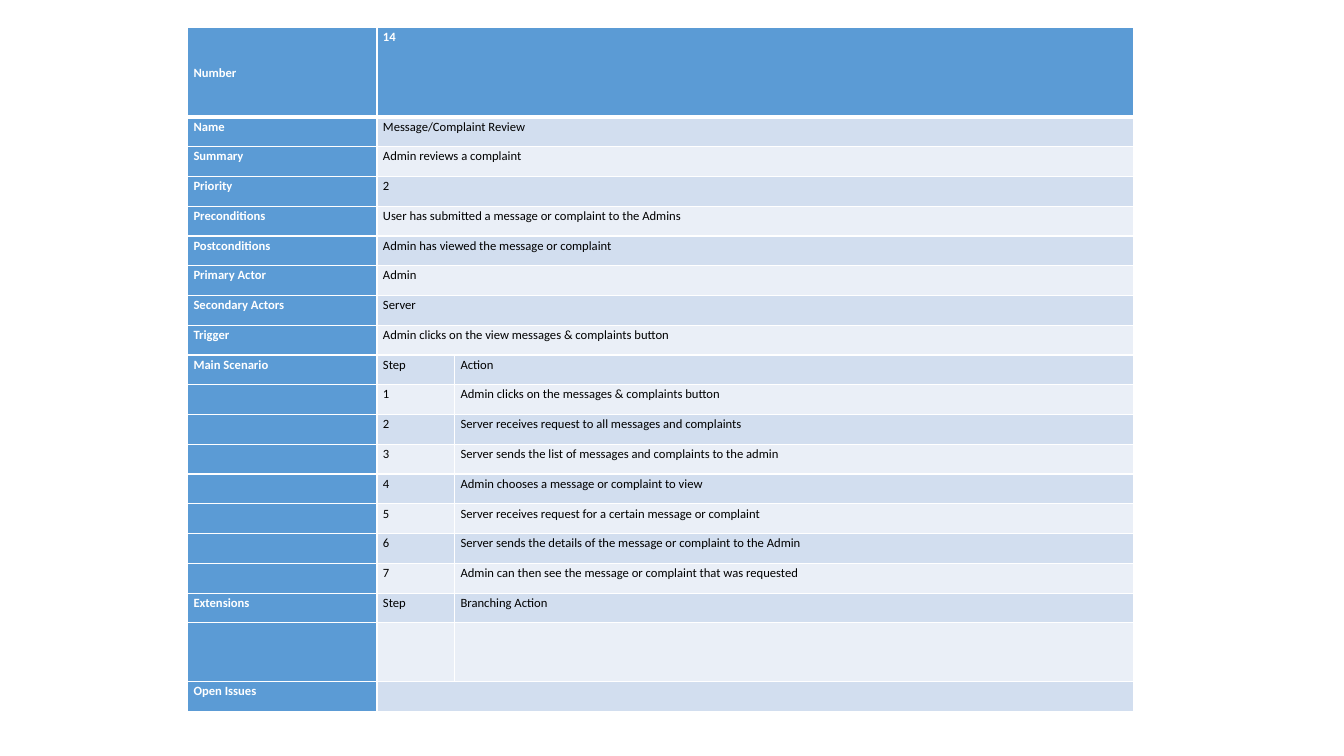
from dataclasses import dataclass

import lxml.etree
import pptx
import pptx.dml.color
import pptx.enum.text
import pptx.oxml.ns
import pptx.table
import pptx.util

Pt = pptx.util.Pt
qn = pptx.oxml.ns.qn

WHITE, BLACK, BLUE = "FFFFFF", "000000", "5B9BD5"
BANDS = ("EAEFF7", "D2DEEF")
LEFT, TOP = 133.92, 19.44
COLUMNS = (135.36, 55.44, 485.28)
FONT, SIZE = "Calibri", 9


@dataclass
class Row:
    label: str
    detail: str
    action: str | None = None
    height: float = 21.28


ROWS = [
    Row("Number", "14", height=64.08),
    Row("Name", "Message/Complaint Review"),
    Row("Summary", "Admin reviews a complaint"),
    Row("Priority", "2"),
    Row("Preconditions", "User has submitted a message or complaint to the Admins"),
    Row("Postconditions", "Admin has viewed the message or complaint"),
    Row("Primary Actor", "Admin"),
    Row("Secondary Actors", "Server"),
    Row("Trigger", "Admin clicks on the view messages & complaints button"),
    Row("Main Scenario", "Step", "Action"),
    Row("", "1", "Admin clicks on the messages & complaints button"),
    Row("", "2", "Server receives request to all messages and complaints"),
    Row("", "3", "Server sends the list of messages and complaints to the admin"),
    Row("", "4", "Admin chooses a message or complaint to view"),
    Row("", "5", "Server receives request for a certain message or complaint"),
    Row("", "6", "Server sends the details of the message or complaint to the Admin"),
    Row("", "7", "Admin can then see the message or complaint that was requested"),
    Row("Extensions", "Step", "Branching Action"),
    Row("", "", "", height=41.76),
    Row("Open Issues", ""),
]


def rgb(value: str) -> pptx.dml.color.RGBColor:
    return pptx.dml.color.RGBColor.from_string(value)


def add_borders(cell: pptx.table._Cell, top: float, bottom: float) -> None:
    tcPr = cell._tc.get_or_add_tcPr()
    for side, width in (("L", 1), ("R", 1), ("T", top), ("B", bottom)):
        ln = lxml.etree.SubElement(tcPr, qn(f"a:ln{side}"), w=str(Pt(width)))
        fill = lxml.etree.SubElement(ln, qn("a:solidFill"))
        lxml.etree.SubElement(fill, qn("a:srgbClr"), val=WHITE)


def style_cell(cell: pptx.table._Cell, row: int, heading: bool) -> None:
    add_borders(cell, 3 if row == 1 else 1, 3 if row == 0 else 1)
    cell.fill.solid()
    cell.fill.fore_color.rgb = rgb(BLUE if heading else BANDS[row % 2])
    cell.margin_left = cell.margin_right = Pt(4.32)
    cell.margin_top = cell.margin_bottom = Pt(0)


def write_cell(cell: pptx.table._Cell, text: str, heading: bool) -> None:
    p = cell.text_frame.paragraphs[0]
    p.line_spacing = 1.15
    if text:
        r = p.add_run()
        r.text = text
        r.font.name = FONT
        r.font.size = Pt(SIZE)
        r.font.bold = heading
        r.font.color.rgb = rgb(WHITE if heading else BLACK)
    else:
        lxml.etree.SubElement(p._p, qn("a:endParaRPr"), sz=str(SIZE * 100))


def main() -> None:
    prs = pptx.Presentation()
    prs.slide_width, prs.slide_height = Pt(960), Pt(540)
    s = prs.slides.add_slide(prs.slide_layouts[6])
    table = s.shapes.add_table(
        len(ROWS), len(COLUMNS), Pt(LEFT), Pt(TOP),
        Pt(sum(COLUMNS)), Pt(sum(row.height for row in ROWS)),
    ).table
    table.horz_banding = False
    for column, width in zip(table.columns, COLUMNS):
        column.width = Pt(width)
    for i, row in enumerate(ROWS):
        table.rows[i].height = Pt(row.height)
        for j, text in enumerate((row.label, row.detail, row.action or "")):
            heading = i == 0 or j == 0
            style_cell(table.cell(i, j), i, heading)
            write_cell(table.cell(i, j), text, heading)
        if row.action is None:
            table.cell(i, 1).merge(table.cell(i, 2))
    table.cell(0, 0).vertical_anchor = pptx.enum.text.MSO_ANCHOR.MIDDLE
    prs.save("out.pptx")


if __name__ == "__main__":
    main()
